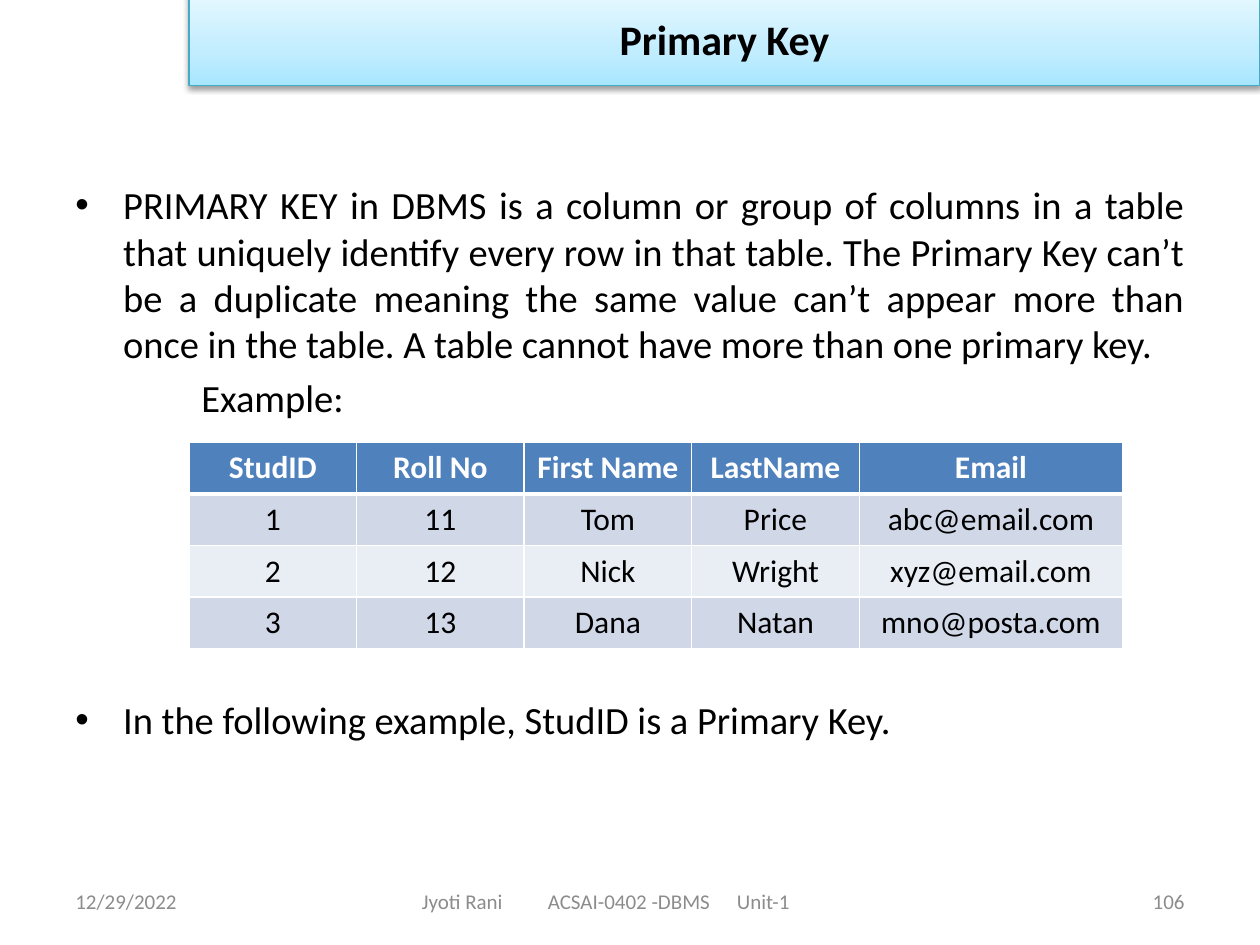
from copy import deepcopy

from lxml import etree
from pptx import Presentation
from pptx.dml.color import RGBColor
from pptx.enum.text import MSO_ANCHOR, PP_ALIGN
from pptx.oxml import parse_xml
from pptx.oxml.ns import qn
from pptx.util import Inches, Pt

MIDDLE, TOP = MSO_ANCHOR.MIDDLE, MSO_ANCHOR.TOP
LEFT, CENTER, RIGHT, JUSTIFY = PP_ALIGN.LEFT, PP_ALIGN.CENTER, PP_ALIGN.RIGHT, PP_ALIGN.JUSTIFY
NAMESPACE = "http://schemas.openxmlformats.org/drawingml/2006/main"
FONT = "Calibri"
COLORS = {
    "text": "000000", "muted": "8C8C8C", "white": "FFFFFF", "header": "4F81BD",
    "band_dark": "D0D8E8", "band_light": "E9EDF4", "banner_line": "46AAC5",
}
BANNER_STOPS = [(0, "A7E6FF"), (0.35, "C1EDFF"), (1, "E7F8FF")]
DEFINITION = (
    "PRIMARY KEY in DBMS is a column or group of columns in a table that uniquely "
    "identify every row in that table. The Primary Key can’t be a duplicate meaning "
    "the same value can’t appear more than once in the table. A table cannot have "
    "more than one primary key."
)
STUDENTS = [
    ["StudID", "Roll No", "First Name", "LastName", "Email"],
    ["1", "11", "Tom", "Price", "abc@email.com"],
    ["2", "12", "Nick", "Wright", "xyz@email.com"],
    ["3", "13", "Dana", "Natan", "mno@posta.com"],
]


def rgb(name):
    """Return the named colour."""
    return RGBColor.from_string(COLORS[name])


def write(paragraph, text, size=22, color="text", bold=False, align=LEFT,
          before=0, indent=0, bullet=False, tabs=()):
    """Fill a paragraph with formatted text."""
    properties = paragraph._p.get_or_add_pPr()
    hanging = Inches(0.38) if bullet else 0
    properties.set("marL", str(Inches(indent) + hanging))
    properties.set("indent", str(-hanging))
    if bullet:
        etree.SubElement(properties, qn("a:buFont"), typeface="Arial")
        etree.SubElement(properties, qn("a:buChar"), char="•")
    else:
        etree.SubElement(properties, qn("a:buNone"))
    if tabs:
        tab_list = etree.SubElement(properties, qn("a:tabLst"))
        for position in tabs:
            etree.SubElement(tab_list, qn("a:tab"), pos=str(Inches(position)), algn="l")
    paragraph.alignment = align
    paragraph.space_before = Pt(before)
    run = paragraph.add_run()
    run.text = text
    run.font.name, run.font.size, run.font.bold = FONT, Pt(size), bold
    run.font.color.rgb = rgb(color)


class SlideBuilder:
    """Hold the current slide and add styled elements to it."""

    def __init__(self, presentation):
        """Start a title-only slide."""
        self.slide = presentation.slides.add_slide(presentation.slide_layouts[5])

    def banner(self, text, left, top, width, height):
        """Format the title as a gradient banner with a shadow."""
        title = self.slide.shapes.title
        title.left, title.top = Inches(left), Inches(top)
        title.width, title.height = Inches(width), Inches(height)
        title.fill.gradient()
        title.fill.gradient_angle = 90
        stops = title.fill.gradient_stops
        first = title._element.spPr.find(".//" + qn("a:gs"))
        first.addnext(deepcopy(first))
        stops = title.fill.gradient_stops
        for stop, (position, color) in zip(stops, BANNER_STOPS):
            stop.position = position
            stop.color.rgb = RGBColor.from_string(color)
        title.line.color.rgb = rgb("banner_line")
        title.line.width = Pt(0.75)
        title._element.spPr.append(parse_xml(
            f'<a:effectLst xmlns:a="{NAMESPACE}"><a:outerShdw blurRad="{Pt(3.1)}" '
            f'dist="{Pt(1.6)}" dir="5400000" rotWithShape="0"><a:srgbClr '
            f'val="{COLORS["text"]}"><a:alpha val="38000"/></a:srgbClr>'
            '</a:outerShdw></a:effectLst>'))
        title.text_frame.vertical_anchor = MIDDLE
        write(title.text_frame.paragraphs[0], text, size=24, bold=True, align=CENTER)

    def text_box(self, paragraphs, left, top, width, height, anchor=TOP):
        """Add a wrapped box from pairs of text and format."""
        box = self.slide.shapes.add_textbox(
            Inches(left), Inches(top), Inches(width), Inches(height))
        frame = box.text_frame
        frame.word_wrap = True
        frame.vertical_anchor = anchor
        for index, (text, options) in enumerate(paragraphs):
            paragraph = frame.add_paragraph() if index else frame.paragraphs[0]
            write(paragraph, text, **options)

    def footer(self, text, left, width, **options):
        """Add one part of the footer line."""
        self.text_box([(text, dict(size=12, color="muted", **options))],
                      left, 6.95, width, 0.4, MIDDLE)

    def cell(self, cell, text, fill, bottom=1, **options):
        """Format one table cell with white borders."""
        properties = cell._tc.get_or_add_tcPr()
        for side, width in (("L", 1), ("R", 1), ("T", 1), ("B", bottom)):
            properties.append(parse_xml(
                f'<a:ln{side} xmlns:a="{NAMESPACE}" w="{Pt(width)}"><a:solidFill>'
                f'<a:srgbClr val="{COLORS["white"]}"/></a:solidFill></a:ln{side}>'))
        cell.fill.solid()
        cell.fill.fore_color.rgb = rgb(fill)
        cell.vertical_anchor = MIDDLE
        cell.margin_left = cell.margin_right = Inches(0.05)
        write(cell.text_frame.paragraphs[0], text, size=18, align=CENTER, **options)

    def table(self, rows, left, top, widths, row_height):
        """Add a table with a header and banded rows."""
        table = self.slide.shapes.add_table(
            len(rows), len(widths), Inches(left), Inches(top),
            Inches(sum(widths)), Inches(row_height * len(rows))).table
        table.horz_banding = False
        for column, width in zip(table.columns, widths):
            column.width = Inches(width)
        for row_index, row in enumerate(rows):
            if row_index == 0:
                style = dict(fill="header", bottom=3, color="white", bold=True)
            else:
                style = dict(fill="band_dark" if row_index % 2 else "band_light")
            for column_index, text in enumerate(row):
                self.cell(table.cell(row_index, column_index), text, **style)


def main():
    """Build the primary key slide."""
    presentation = Presentation()
    presentation.slide_width, presentation.slide_height = Inches(10), Inches(7.5)
    builder = SlideBuilder(presentation)
    builder.footer("12/29/2022", 0.5, 2.33)
    builder.footer("\tJyoti Rani\tACSAI-0402 -DBMS\tUnit-1", 2.75, 5.5, tabs=(1, 1.98, 3.87))
    builder.footer("106", 7.17, 2.33, align=RIGHT)
    builder.banner("Primary Key", 1.5, -0.07, 8.5, 0.75)
    builder.text_box([
        (DEFINITION, dict(align=JUSTIFY, bullet=True)),
        ("Example:", dict(align=JUSTIFY, indent=1, before=4.4)),
        ("In the following example, StudID is a Primary Key.",
         dict(align=JUSTIFY, bullet=True, before=158)),
    ], 0.5, 1.39, 9, 5.31)
    builder.table(STUDENTS, 1.5, 3.51, [1.33] * 4 + [2.09], 0.41)
    presentation.save("out.pptx")


if __name__ == "__main__":
    main()
